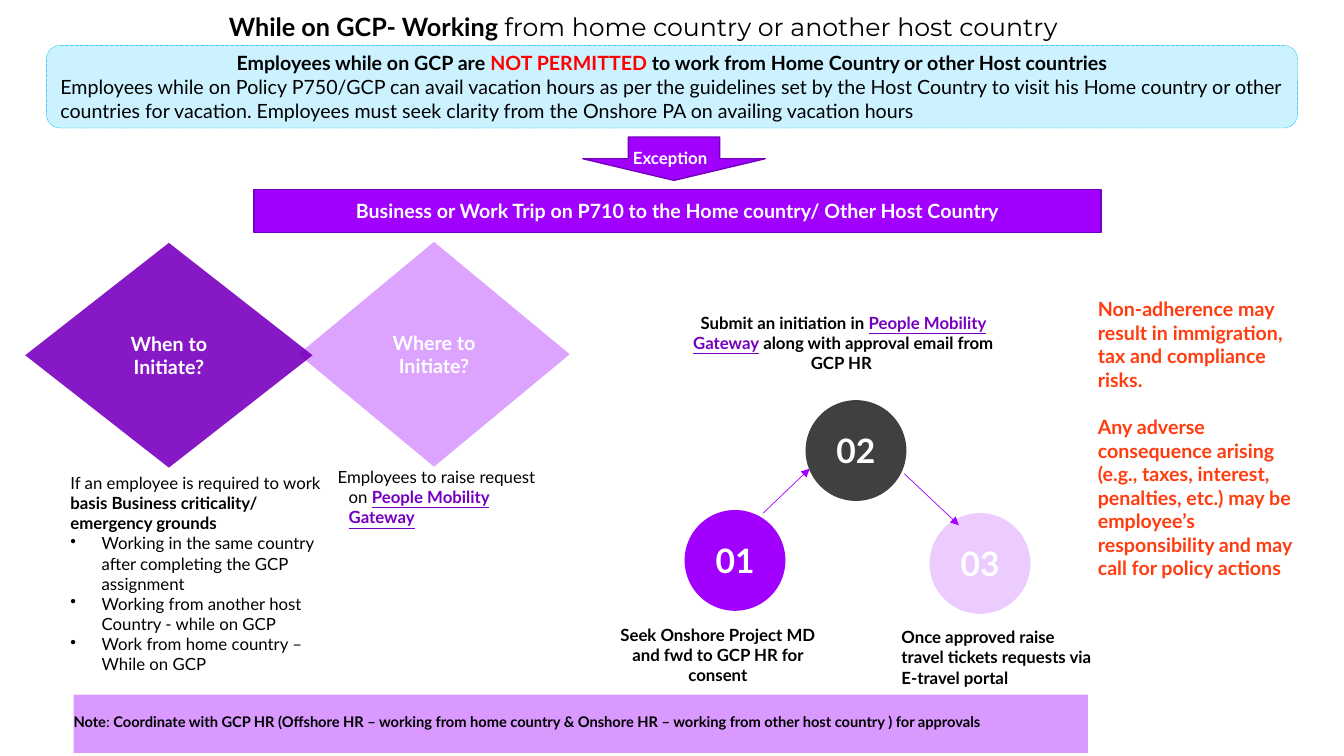
from lxml.etree import SubElement
from pptx import Presentation
from pptx.dml.color import RGBColor
from pptx.enum.dml import MSO_LINE
from pptx.enum.shapes import MSO_CONNECTOR, MSO_SHAPE
from pptx.enum.text import MSO_ANCHOR, MSO_AUTO_SIZE, PP_ALIGN
from pptx.oxml.ns import qn
from pptx.util import Emu, Inches, Pt

COLORS = {
    "black": "000000", "white": "FFFFFF", "red": "FF0000", "orange": "FF3C0F",
    "sky": "CCF1FF", "cyan": "00BAFF", "violet": "A100FF", "plum": "7700BD",
    "deep": "7900BF", "link": "7500C0", "lilac": "D999FF", "pale": "ECCCFF",
    "gray": "404040",
}
COLUMNS, ROWS = 133.3, 75
CENTER = {"alignment": PP_ALIGN.CENTER}
LINK = {"color": "link", "bold": True, "underline": True}
NO_INSET = (0, 0, 0, 0)
SIDE_FLUSH = (0, 0.05, 0, 0.05)


class Deck:
    font = {"name": "Lato", "size": 12, "color": "black", "bold": False}

    def __init__(self):
        self.prs = Presentation()
        self.prs.slide_width, self.prs.slide_height = Inches(13.33), Inches(7.5)
        self.s = self.prs.slides.add_slide(self.prs.slide_layouts[5])

    def x(self, columns):
        return Emu(round(self.prs.slide_width * columns / COLUMNS))

    def y(self, rows):
        return Emu(round(self.prs.slide_height * rows / ROWS))

    def area(self, at):
        left, top, width, height = at
        return self.x(left), self.y(top), self.x(width), self.y(height)

    def rgb(self, name):
        return RGBColor.from_string(COLORS[name])

    def style(self, font, fmt):
        for key, value in fmt.items():
            if key == "color":
                font.color.rgb = self.rgb(value)
            else:
                setattr(font, key, Pt(value) if key == "size" else value)

    def set_text(self, sp, paragraphs, inset=(0.1, 0.05, 0.1, 0.05),
                 anchor=MSO_ANCHOR.TOP, **base):
        tf = sp.text_frame
        frame = {"word_wrap": True, "auto_size": MSO_AUTO_SIZE.NONE,
                 "vertical_anchor": anchor}
        sides = ("margin_left", "margin_top", "margin_right", "margin_bottom")
        frame.update(zip(sides, map(Inches, inset)))
        for key, value in frame.items():
            setattr(tf, key, value)
        for i, (layout, runs) in enumerate(paragraphs):
            p = tf.add_paragraph() if i else tf.paragraphs[0]
            for key, value in layout.items():
                if key == "indent":
                    pPr = p._p.get_or_add_pPr()
                    for name, inches in zip(("marL", "indent"), value):
                        pPr.set(name, str(Inches(inches)))
                elif key == "bullet":
                    SubElement(p._p.get_or_add_pPr(), qn("a:buChar"), char=value)
                else:
                    setattr(p, key, value)
            for text, fmt in runs:
                r = p.add_run()
                r.text = text
                self.style(r.font, {**self.font, **base, **fmt})
        return sp

    def title(self, at, runs):
        sp = self.s.shapes.title
        sp.left, sp.top, sp.width, sp.height = self.area(at)
        return self.set_text(sp, [(CENTER, runs)], size=18)

    def text(self, at, paragraphs, **options):
        return self.set_text(self.s.shapes.add_textbox(*self.area(at)),
                             paragraphs, **options)

    def shape(self, kind, at, fill, line=None, weight=1, alpha=None):
        sp = self.s.shapes.add_shape(kind, *self.area(at))
        sp.shadow.inherit = False
        sp.fill.solid()
        sp.fill.fore_color.rgb = self.rgb(fill)
        if alpha:
            clr = sp._element.spPr.find(qn("a:solidFill"))[0]
            SubElement(clr, qn("a:alpha"), val=str(alpha * 1000))
        if line:
            sp.line.color.rgb = self.rgb(line)
            sp.line.width = Pt(weight)
        else:
            sp.line.fill.background()
        return sp

    def label(self, sp, text, **options):
        return self.set_text(sp, [(CENTER, [(text, {})])], anchor=MSO_ANCHOR.MIDDLE,
                             color="white", bold=True, **options)

    def arrow(self, x1, y1, x2, y2):
        cx = self.s.shapes.add_connector(MSO_CONNECTOR.STRAIGHT, self.x(x1),
                                         self.y(y1), self.x(x2), self.y(y2))
        cx.line.color.rgb = self.rgb("violet")
        cx.line.width = Pt(0.5)
        spPr = cx._element.spPr
        SubElement(spPr.find(qn("a:ln")), qn("a:tailEnd"), type="triangle")
        SubElement(spPr, qn("a:effectLst"))


def main():
    d = Deck()
    d.title((12.3, 0.6, 103, 4), [
        ("While on GCP- Working ", {"bold": True}),
        ("from home country or another host country", {"name": "Montserrat"})])

    rule = d.shape(MSO_SHAPE.ROUNDED_RECTANGLE, (4.6, 4.5, 124.1, 8.2),
                   "sky", "cyan", 0.25)
    rule.line.dash_style = MSO_LINE.ROUND_DOT
    d.set_text(rule, [
        (CENTER, [
            ("Employees while on GCP are ", {"bold": True}),
            ("NOT PERMITTED ", {"bold": True, "color": "red"}),
            ("to work from Home Country or other Host countries", {"bold": True})]),
        ({"alignment": PP_ALIGN.LEFT}, [
            ("Employees while on Policy P750/GCP can avail vacation hours as per the "
             "guidelines set by the Host Country to visit his Home country or other "
             "countries for vacation. Employees must seek clarity from the Onshore PA "
             "on availing vacation hours", {})]),
    ], anchor=MSO_ANCHOR.MIDDLE, size=14)

    d.text((107.9, 29, 23, 31.6), [
        ({}, [("Non-adherence may result in immigration, tax and compliance risks.", {})]),
        ({"space_before": Pt(17)}, [
            ("Any adverse consequence arising (e.g., taxes, interest, penalties, etc.) "
             "may be employee’s responsibility and may call for policy actions", {})]),
    ], size=14, color="orange", bold=True)

    trip = d.shape(MSO_SHAPE.FLOWCHART_PROCESS, (25.2, 18.8, 84, 4.3), "violet", "plum")
    d.label(trip, "Business or Work Trip on P710 to the Home country/ Other Host Country",
            size=14)

    for question, at, fill in (
            ("Where to Initiate?", (29.6, 24, 26.9, 22.3), "lilac"),
            ("When to Initiate?", (2.5, 24.1, 28.5, 22.3), "deep")):
        d.label(d.shape(MSO_SHAPE.DIAMOND, at, fill, alpha=90), question,
                inset=NO_INSET, size=14)

    bullet = {"indent": (0.31, -0.31), "bullet": "•"}
    reasons = ("Working in the same country after completing the GCP assignment",
               "Working from another host Country - while on GCP",
               "Work from home country – While on GCP")
    d.text((6, 46.4, 27.9, 21.2), [
        ({}, [("If an employee is required to work ", {}),
              ("basis Business criticality/ emergency grounds", {"bold": True})]),
        *((bullet, [(reason, {})]) for reason in reasons)])
    d.text((32.5, 45.8, 23.6, 7.1), [
        ({"indent": (0.11, -0.12), "space_after": Pt(1)}, [
            ("Employees to raise request on ", {}),
            ("People Mobility Gateway", LINK)])])

    steps = (
        ("01", (67.9, 50.6), "violet", (61.3, 61.5, 19.8, 9.1), CENTER,
         [("Seek Onshore Project MD and fwd to GCP HR for consent", {})]),
        ("02", (79.9, 39.7), "gray", (67.6, 30.5, 32.1, 7.1), CENTER,
         [("Submit an initiation in ", {}), ("People Mobility Gateway", LINK),
          (" along with approval email from GCP HR ", {})]),
        ("03", (92.2, 50.9), "pale", (89.4, 61.7, 19.8, 9.1), {},
         [("Once approved raise travel tickets requests via E-travel portal", {})]),
    )
    for number, corner, fill, at, layout, runs in steps:
        d.label(d.shape(MSO_SHAPE.OVAL, (*corner, 10, 10), fill), number, size=24)
        d.text(at, [(layout, runs)], inset=SIDE_FLUSH, bold=True)
    d.arrow(75.7, 50.9, 80.3, 46.5)
    d.arrow(89.7, 47, 95.1, 52.1)

    d.shape(MSO_SHAPE.DOWN_ARROW, (57.8, 13.6, 18.1, 4.3), "violet", "plum")
    d.text((61.8, 14.2, 13, 3), [({}, [("Exception", {})])], color="white", bold=True)

    note = d.shape(MSO_SHAPE.RECTANGLE, (7.3, 68.9, 100.6, 5.8), "lilac")
    d.set_text(note, [({"alignment": PP_ALIGN.LEFT}, [
        ("Note", {"bold": True}), (": ", {}),
        ("Coordinate with GCP HR (Offshore HR – working from home country & Onshore HR "
         "– working from other host country ) for approvals", {"bold": True})])],
        inset=(0, 0, 0, 0.05), anchor=MSO_ANCHOR.MIDDLE, size=10.5)

    d.prs.save("out.pptx")


if __name__ == "__main__":
    main()
